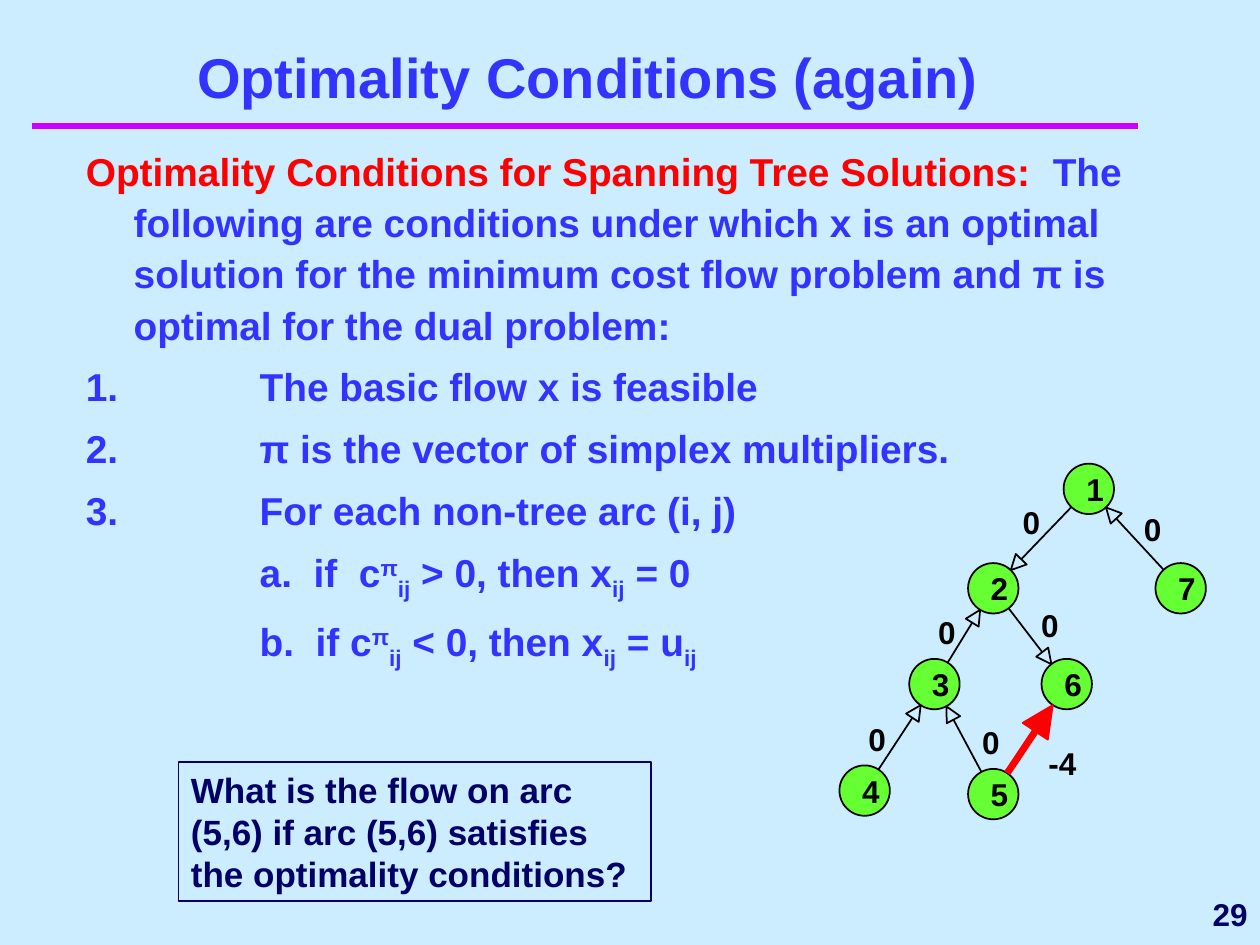
import math

from lxml import etree
from pptx import Presentation
from pptx import util as u
from pptx.dml.color import RGBColor
from pptx.enum import shapes, text
from pptx.oxml.ns import qn

COLORS = {"sky": "CCECFF", "rule": "CC00FF", "blue": "3333FF", "navy": "000066",
          "red": "FF0000", "green": "66FF33", "black": "000000"}
FONT = "Arial"
CELL = u.Inches(1) // 12  # the slide is a grid of 120 columns by 90 rows
NODE = 4.8 * CELL
SUP, SUB = 30, -25

# Node centres and cost labels are shares of the network's box
NODES = {1: (0.68, 0.07), 2: (0.42, 0.35), 7: (0.93, 0.35), 3: (0.26, 0.62),
         6: (0.62, 0.62), 4: (0.07, 0.92), 5: (0.42, 0.93)}
TREE_ARCS = [(1, 2, "0", (0.50, 0.11)), (7, 1, "0", (0.83, 0.13)),
             (3, 2, "0", (0.27, 0.42)), (2, 6, "0", (0.55, 0.40)),
             (4, 3, "0", (0.08, 0.72)), (5, 3, "0", (0.39, 0.73))]
NON_TREE_ARC = (5, 6, "-4", (0.57, 0.79))

HEADING = [("Optimality Conditions for Spanning Tree Solutions: ", "red", 0),
           (" The following are conditions under which x is an optimal solution for "
            "the minimum cost flow problem and π is optimal for the dual problem:", "blue", 0)]
CONDITIONS = ["The basic flow x is feasible",
              "π is the vector of simplex multipliers.",
              "For each non-tree arc (i, j)"]
CASES = [[("\t\ta.  if  c", 0), ("π", SUP), ("ij", SUB), (" > 0, then x", 0),
          ("ij", SUB), (" = 0", 0)],
         [("\t\tb.  if c", 0), ("π", SUP), ("ij", SUB), (" < 0, then x", 0),
          ("ij", SUB), (" = u", 0), ("ij", SUB)]]


def rgb(color):
    return RGBColor.from_string(COLORS[color])


def cells(*counts):
    return [round(count * CELL) for count in counts]


def style(run, size, color):
    font = run.font
    font.name, font.size, font.bold = FONT, u.Pt(size), True
    font.color.rgb = rgb(color)


def write(shape, words, size, color, align=text.PP_ALIGN.LEFT,
          anchor=text.MSO_ANCHOR.TOP, wrap=True):
    frame = shape.text_frame
    frame.text = words
    frame.word_wrap, frame.vertical_anchor = wrap, anchor
    paragraph = frame.paragraphs[0]
    paragraph.alignment = align
    style(paragraph.runs[0], size, color)
    return frame


def add_line(slide, start, end, color, width):
    line = slide.shapes.add_connector(shapes.MSO_CONNECTOR.STRAIGHT,
                                      *map(round, (*start, *end)))
    line.line.color.rgb, line.line.width = rgb(color), u.Pt(width)
    etree.SubElement(line._element.spPr, qn("a:effectLst"))


def add_title(slide, box):
    write(slide.shapes.add_textbox(*box), "Optimality Conditions (again)", 32, "blue",
          text.PP_ALIGN.CENTER, text.MSO_ANCHOR.BOTTOM)


def add_page_number(slide, box):
    write(slide.shapes.add_textbox(*box), "29", 18, "navy",
          text.PP_ALIGN.RIGHT, text.MSO_ANCHOR.MIDDLE, wrap=False)


def hang(paragraph):
    """Hanging indent with a tab stop at every inch."""
    indent = u.Inches(0.38)
    properties = paragraph._p.get_or_add_pPr()
    properties.set("marL", str(indent))
    properties.set("indent", str(-indent))
    properties.set("defTabSz", str(u.Inches(1)))
    paragraph.line_spacing, paragraph.space_after = 1.1, u.Pt(6)


def add_conditions(slide, box):
    frame = slide.shapes.add_textbox(*box).text_frame
    frame.word_wrap = True
    numbered = [[(f"{number}.\t\t{condition}", "blue", 0)]
                for number, condition in enumerate(CONDITIONS, 1)]
    cases = [[(words, "blue", shift) for words, shift in case] for case in CASES]
    for index, parts in enumerate([HEADING, *numbered, *cases]):
        paragraph = frame.add_paragraph() if index else frame.paragraphs[0]
        hang(paragraph)
        for words, color, shift in parts:
            run = paragraph.add_run()
            run.text = words
            style(run, 22.2, color)
            if shift:
                run._r.get_or_add_rPr().set("baseline", str(shift * 1000))


def add_question(slide, box):
    question = slide.shapes.add_shape(shapes.MSO_SHAPE.RECTANGLE, *box)
    question.shadow.inherit = False
    question.fill.background()
    question.line.color.rgb, question.line.width = rgb("navy"), u.Pt(1)
    write(question, "What is the flow on arc (5,6) if arc (5,6) satisfies "
          "the optimality conditions?", 20, "navy")


def add_label(slide, left, top, words):
    width = u.Inches(0.14 if len(words) == 1 else 0.23)
    label = slide.shapes.add_textbox(round(left), round(top), width, u.Inches(0.3))
    frame = write(label, words, 18, "black", wrap=False)
    frame.auto_size = text.MSO_AUTO_SIZE.SHAPE_TO_FIT_TEXT
    frame.margin_left = frame.margin_right = frame.margin_top = frame.margin_bottom = 0


def add_node(slide, center, number):
    left, top = (round(c - NODE / 2) for c in center)
    node = slide.shapes.add_shape(shapes.MSO_SHAPE.OVAL, left, top, round(NODE), round(NODE))
    node.shadow.inherit = False
    node.fill.solid()
    node.fill.fore_color.rgb = rgb("green")
    node.line.color.rgb, node.line.width = rgb("black"), u.Pt(1)
    add_label(slide, left + u.Inches(0.18), top + u.Inches(0.05), str(number))


def add_arc(slide, tail, tip, color, width, head, solid):
    """Arrow between the rims of two nodes; head is its length and half width."""
    dx, dy = tip[0] - tail[0], tip[1] - tail[1]
    reach = math.hypot(dx, dy)
    dx, dy = dx / reach, dy / reach

    def point(along, aside=0):
        return (tail[0] + along * dx - aside * dy, tail[1] + along * dy + aside * dx)

    end = reach - NODE / 2
    length, half = map(u.Inches, head)
    base = end - length
    add_line(slide, point(NODE / 2), point(base), color, width)
    outline = slide.shapes.build_freeform(*map(round, point(end)))
    outline.add_line_segments([tuple(map(round, point(base, side))) for side in (half, -half)])
    arrowhead = outline.convert_to_shape()
    arrowhead.shadow.inherit = False
    arrowhead.line.color.rgb, arrowhead.line.width = rgb(color), u.Pt(1)
    if solid:
        arrowhead.fill.solid()
        arrowhead.fill.fore_color.rgb = rgb(color)
    else:
        arrowhead.fill.background()


def add_network(slide, box):
    left, top, width, height = box

    def place(share):
        return left + share[0] * width, top + share[1] * height

    for number, share in NODES.items():
        add_node(slide, place(share), number)
    for arc in [*TREE_ARCS, NON_TREE_ARC]:
        start, end, cost, share = arc
        look = (("red", 4, (0.25, 0.12), True) if arc is NON_TREE_ARC
                else ("black", 1, (0.12, 0.06), False))
        add_arc(slide, place(NODES[start]), place(NODES[end]), *look)
        add_label(slide, *place(share), cost)


def main():
    deck = Presentation()
    deck.slide_width, deck.slide_height = cells(120, 90)
    slide = deck.slides.add_slide(deck.slide_layouts[6])
    slide.background.fill.solid()
    slide.background.fill.fore_color.rgb = rgb("sky")

    add_line(slide, cells(3, 12), cells(108.4, 12), "rule", 4)
    add_page_number(slide, cells(97, 84, 23, 6))
    add_title(slide, cells(5, 2, 102, 9))
    add_conditions(slide, cells(7, 13, 102, 59))
    add_network(slide, cells(79.9, 44.2, 35, 33.8))
    add_question(slide, cells(17, 72.6, 45, 13.2))
    deck.save("out.pptx")


if __name__ == "__main__":
    main()
